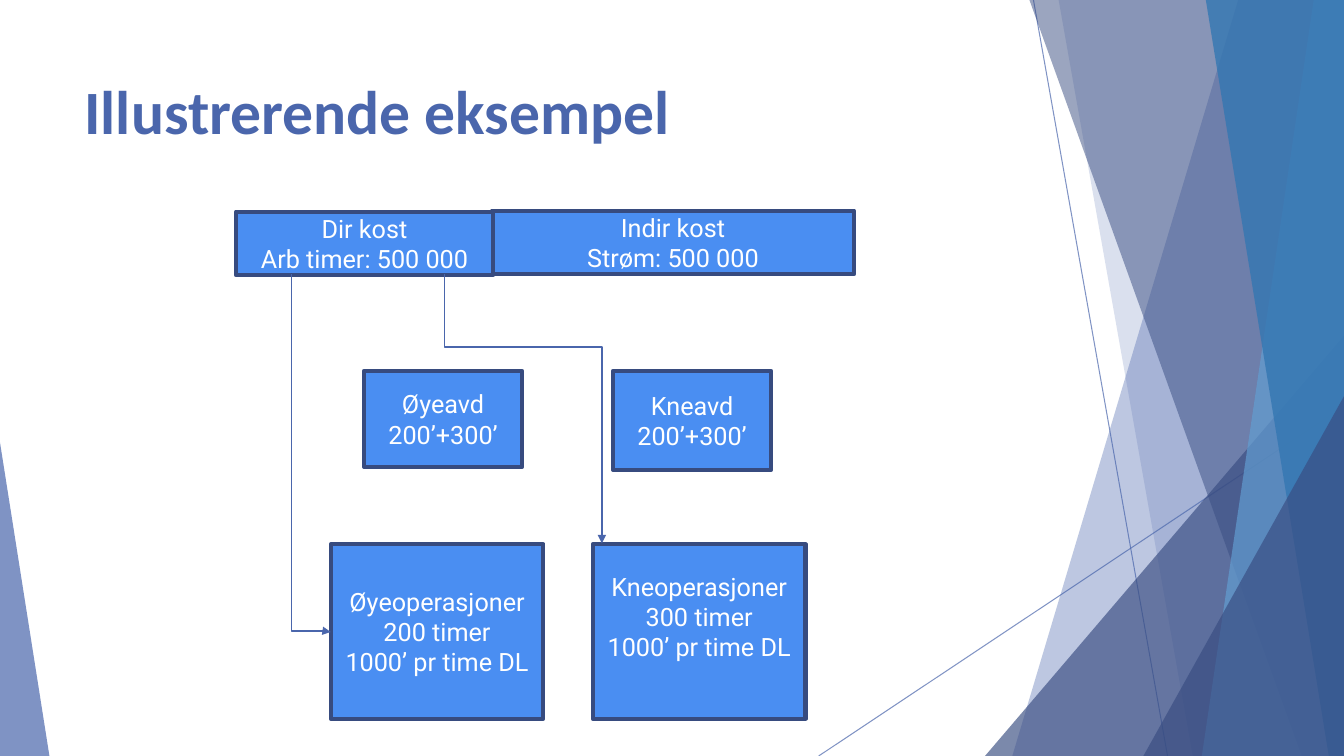
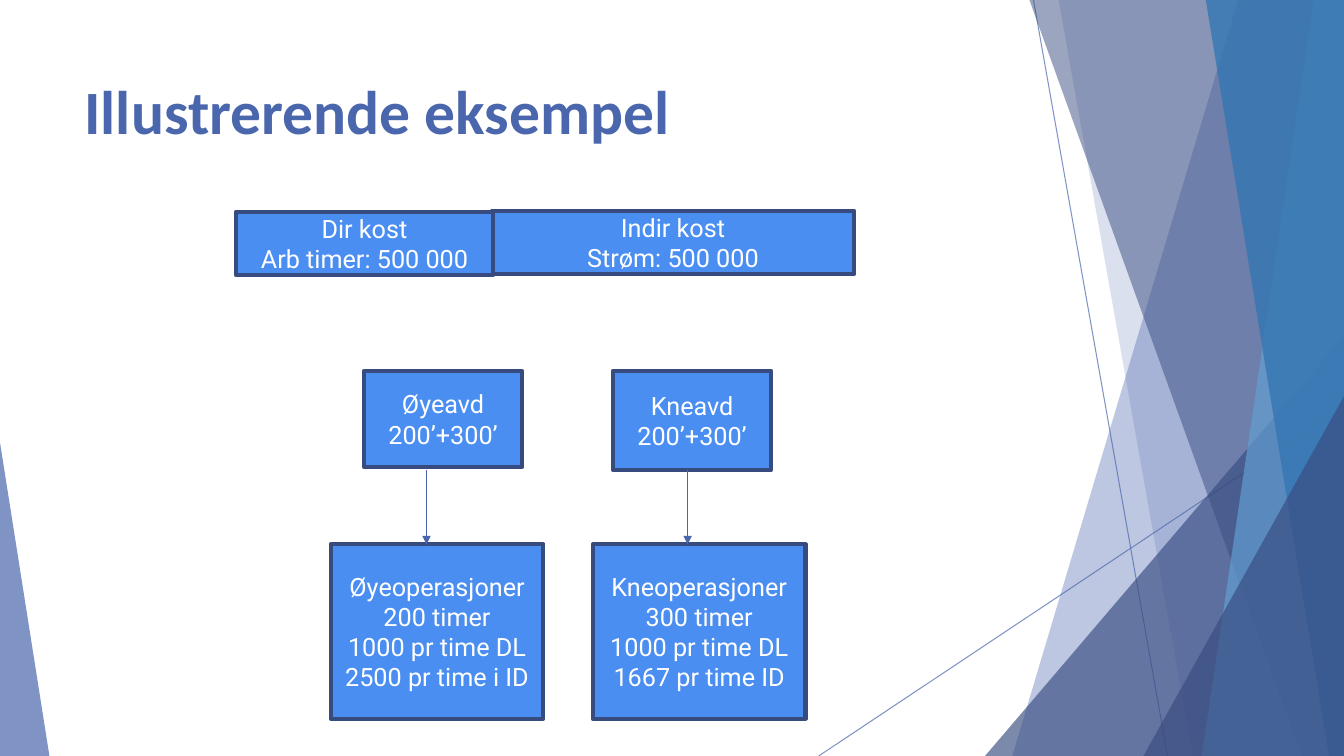
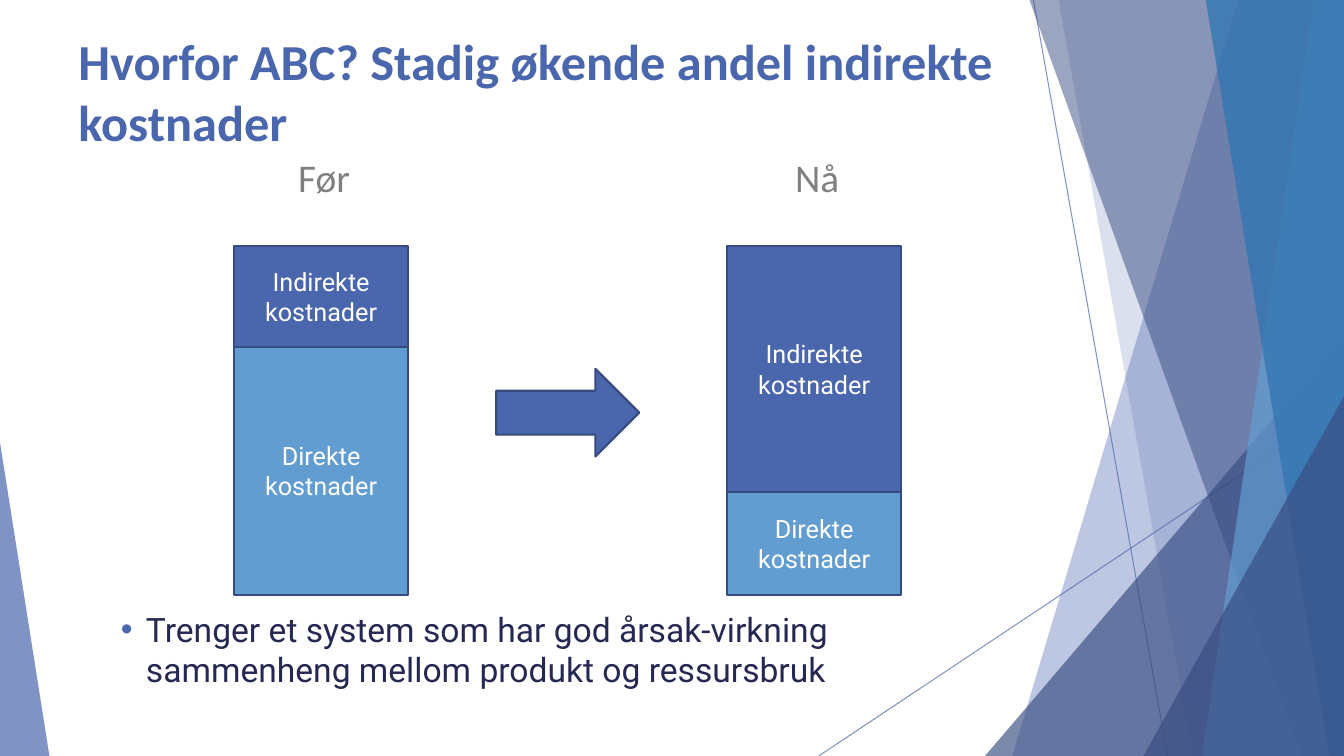
from dataclasses import dataclass

from lxml import etree
from pptx import Presentation, util as u
from pptx.dml import color
from pptx.enum import shapes, text
from pptx.oxml import ns

WIDE, HIGH = 13.33, 7.5
BLUE, NAVY, SKY, OCEAN = "4A66AC", "384C81", "629DD1", "3477B2"
BRIGHT, EDGE, INK, GREY, WHITE = "4A8EF2", "374B7F", "242852", "808080", "FFFFFF"
HEAD, BODY = "Calibri", "Roboto"
KIND = shapes.MSO_SHAPE
LEFT, MID = text.PP_ALIGN.LEFT, text.PP_ALIGN.CENTER


@dataclass
class Facet:
    """Band running to the right edge of the slide."""
    top: float
    base: float
    tint: str
    alpha: int


@dataclass
class Wedge:
    """Right-angled triangle standing on the bottom edge."""
    left: float
    top: float
    width: float
    peak: int
    tint: str
    alpha: int


@dataclass
class Box:
    left: float
    top: float
    width: float
    height: float
    lines: tuple[str, ...]
    tint: str = BRIGHT
    edge: float = 3
    base: float = 0.05


@dataclass
class Bar:
    """Stacked column: label, left edge and height of the indirect costs."""
    label: str
    left: float
    upper: float


RAYS = (((10.25, 0), (11.58, HIGH)), ((WIDE, 4.03), (8.12, HIGH)))
DECOR = (
    Facet(12.28, 10.04, BLUE, 36),
    Facet(10.5, 11.83, BLUE, 20),
    Wedge(9.77, 3.33, 3.56, 1, NAVY, 66),
    Facet(10.21, 12.91, NAVY, 50),
    Facet(13.03, 11.92, SKY, 70),
    Facet(11.96, 13.18, OCEAN, 80),
    Wedge(11.34, 3.93, 1.99, 1, NAVY, 66),
    Wedge(0, 4.39, 0.49, 0, BLUE, 70),
)
COSTS = (
    Box(3.61, 3.68, 1.57, 0.95, ("Øyeavd", "200’+300’")),
    Box(6.08, 3.68, 1.57, 0.98, ("Kneavd", "200’+300’")),
    Box(4.88, 2.09, 3.59, 0.63, ("Indir kost", "Strøm: 500 000")),
    Box(2.34, 2.1, 2.55, 0.63, ("Dir kost", "Arb timer: 500 000")),
)
BARS = (Bar("Før", 2.32, 1), Bar("Nå", 7.21, 2.44))


def rgb(code: str) -> color.RGBColor:
    return color.RGBColor.from_string(code)


def child(node, tag: str, **attrs: str):
    return etree.SubElement(node, ns.qn(tag), attrs)


def fade(shape, alpha: int) -> None:
    for tone in shape.element.spPr.iter(ns.qn("a:srgbClr")):
        child(tone, "a:alpha", val=str(alpha * 1000))


def paint(shape, tint: str, edge: float = 0) -> None:
    shape.shadow.inherit = False
    shape.fill.solid()
    shape.fill.fore_color.rgb = rgb(tint)
    if edge:
        shape.line.color.rgb = rgb(EDGE)
        shape.line.width = u.Pt(edge)
    else:
        shape.line.fill.background()


def write(frame, lines: tuple[str, ...], size: float, tint: str,
          font: str = BODY, bold: bool = False, align=MID) -> None:
    frame.word_wrap = True
    for i, line in enumerate(lines):
        para = frame.add_paragraph() if i else frame.paragraphs[0]
        para.alignment = align
        run = para.add_run()
        run.text = line
        run.font.size, run.font.name, run.font.bold = u.Pt(size), font, bold
        run.font.color.rgb = rgb(tint)


def note(slide, left: float, top: float, width: float, height: float):
    spot = map(u.Inches, (left, top, width, height))
    return slide.shapes.add_textbox(*spot).text_frame


def line(slide, start: tuple, end: tuple, width: float = 1, tip: bool = True,
         kind=shapes.MSO_CONNECTOR.STRAIGHT):
    link = slide.shapes.add_connector(kind, *map(u.Inches, (*start, *end)))
    link.line.color.rgb = rgb(BLUE)
    link.line.width = u.Pt(width)
    if tip:
        child(link.get_or_add_ln(), "a:tailEnd", type="triangle")
    child(link.element.spPr, "a:effectLst")
    return link


def elbow(slide, start: tuple, end: tuple, bend: float) -> None:
    """Arrow going down to the height bend, across, and down again."""
    link = line(slide, start, end, kind=shapes.MSO_CONNECTOR.ELBOW)
    run, drop = end[0] - start[0], end[1] - start[1]
    link.left = u.Inches((start[0] + end[0] - drop) / 2)
    link.top = u.Inches((start[1] + end[1] - run) / 2)
    link.width, link.height = u.Inches(drop), u.Inches(run)
    form = link.element.spPr.find(ns.qn("a:xfrm"))
    form.set("rot", str(270 * 60000))
    form.set("flipH", "1")
    geom = link.element.spPr.find(ns.qn("a:prstGeom"))
    share = round((bend - start[1]) / drop * 100000)
    child(geom.find(ns.qn("a:avLst")), "a:gd", name="adj1", fmla=f"val {share}")


def facet(slide, item: Facet):
    pen = slide.shapes.build_freeform(u.Inches(item.top), 0)
    rest = ((WIDE, 0), (WIDE, HIGH), (item.base, HIGH))
    pen.add_line_segments([(u.Inches(x), u.Inches(y)) for x, y in rest])
    return pen.convert_to_shape()


def wedge(slide, item: Wedge):
    spot = (item.left, item.top, item.width, HIGH - item.top)
    shape = slide.shapes.add_shape(KIND.ISOSCELES_TRIANGLE, *map(u.Inches, spot))
    shape.adjustments[0] = item.peak
    return shape


def box(slide, item: Box) -> None:
    spot = (item.left, item.top, item.width, item.height)
    shape = slide.shapes.add_shape(KIND.RECTANGLE, *map(u.Inches, spot))
    paint(shape, item.tint, item.edge)
    frame = shape.text_frame
    frame.vertical_anchor = text.MSO_ANCHOR.MIDDLE
    frame.margin_bottom = u.Inches(item.base)
    write(frame, item.lines, 18, WHITE)


def page(deck, title: str, left: float, top: float, size: float):
    """New slide with the shared decoration and a title."""
    slide = deck.slides.add_slide(deck.slide_layouts[6])
    for start, end in RAYS:
        fade(line(slide, start, end, 0.75, False), 70)
    for item in DECOR:
        draw = facet if isinstance(item, Facet) else wedge
        shape = draw(slide, item)
        paint(shape, item.tint)
        fade(shape, item.alpha)
    write(note(slide, left, top, 9.4, 1.44), (title,), size, BLUE, HEAD, True, LEFT)
    return slide


def costs(deck, eye: tuple[str, ...], knee: tuple[str, ...], base: float = 0.05):
    """Cost diagram with the given lines under the two operations."""
    slide = page(deck, "Illustrerende eksempel", 0.74, 0.67, 44)
    ops = (Box(3.28, 5.4, 2.11, 1.73, ("Øyeoperasjoner", "200 timer", *eye)),
           Box(5.88, 5.4, 2.11, 1.73, ("Kneoperasjoner", "300 timer", *knee), base=base))
    for item in (*COSTS, *ops):
        box(slide, item)
    return slide


def direct(deck) -> None:
    rate = ("1000’ pr time DL",)
    slide = costs(deck, rate, rate, base=0.35)
    elbow(slide, (2.89, 2.72), (3.28, 6.27), 6.26)
    elbow(slide, (4.41, 2.72), (5.97, 5.39), 3.44)


def shared(deck) -> None:
    rate = "1000 pr time DL"
    slide = costs(deck, (rate, "2500 pr time i ID"), (rate, "1667 pr time ID"))
    for x in (4.23, 6.82):
        line(slide, (x, 4.66), (x, 5.4))


def trend(deck) -> None:
    title = "Hvorfor ABC? Stadig økende andel indirekte kostnader"
    slide = page(deck, title, 0.68, 0.25, 36)
    top, width, full = 2.44, 1.73, 3.46
    for bar in BARS:
        write(note(slide, bar.left + 0.03, 1.47, width, 0.57), (bar.label,), 28, GREY, HEAD)
        box(slide, Box(bar.left, top, width, bar.upper,
                       ("Indirekte kostnader",), BLUE, 1.5))
        box(slide, Box(bar.left, top + bar.upper, width, full - bar.upper,
                       ("Direkte kostnader",), SKY, 1.5))
    spot = map(u.Inches, (4.92, 3.66, 1.42, 0.87))
    paint(slide.shapes.add_shape(KIND.RIGHT_ARROW, *spot), BLUE, 1.5)

    frame = note(slide, 0.97, 5.99, 9, 0.98)
    point = "Trenger et system som har god årsak-virkning sammenheng mellom produkt og ressursbruk"
    write(frame, (point,), 24, INK, align=LEFT)
    props = frame.paragraphs[0]._p.get_or_add_pPr()
    props.set("marL", str(u.Inches(0.38)))
    props.set("indent", str(u.Inches(-0.25)))
    child(child(props, "a:buClr"), "a:srgbClr", val=BLUE)
    child(props, "a:buFont", typeface="Arial")
    child(props, "a:buChar", char="•")


def main() -> None:
    deck = Presentation()
    deck.slide_width, deck.slide_height = u.Inches(WIDE), u.Inches(HIGH)
    direct(deck)
    shared(deck)
    trend(deck)
    deck.save("out.pptx")


if __name__ == "__main__":
    main()
